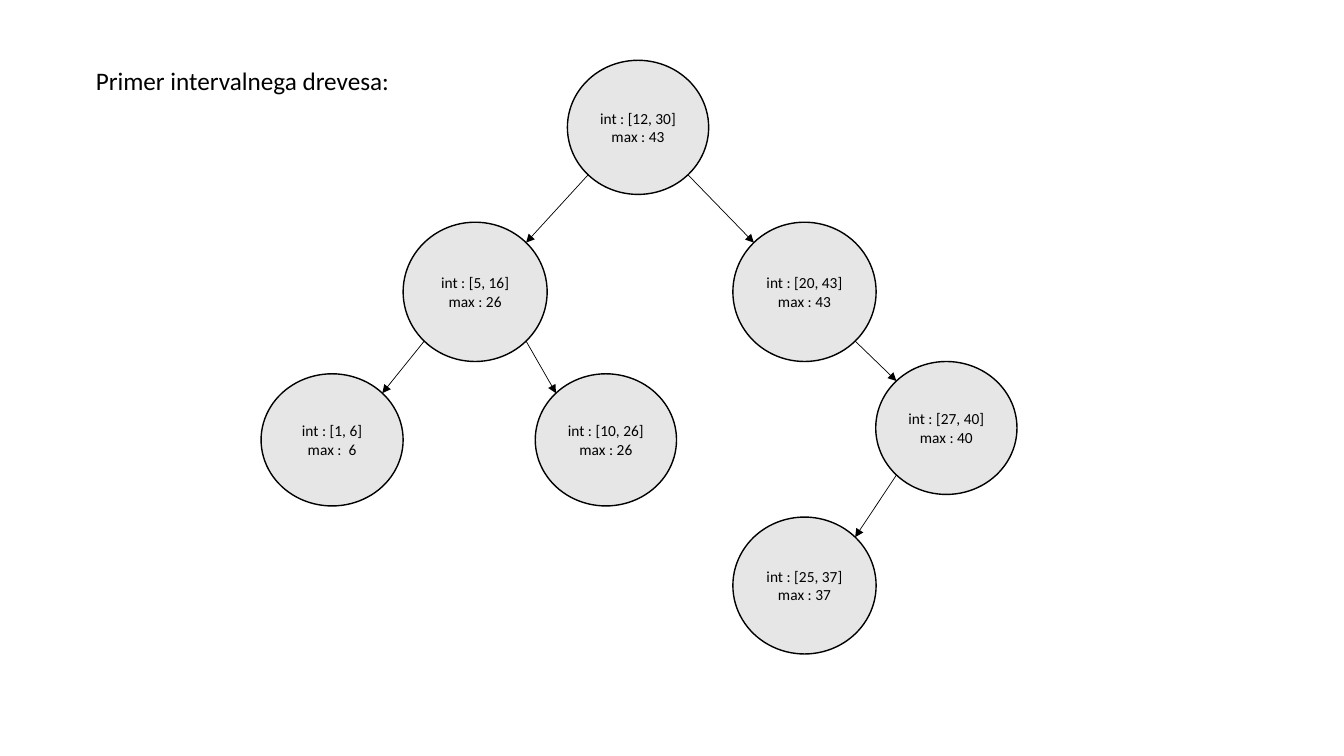
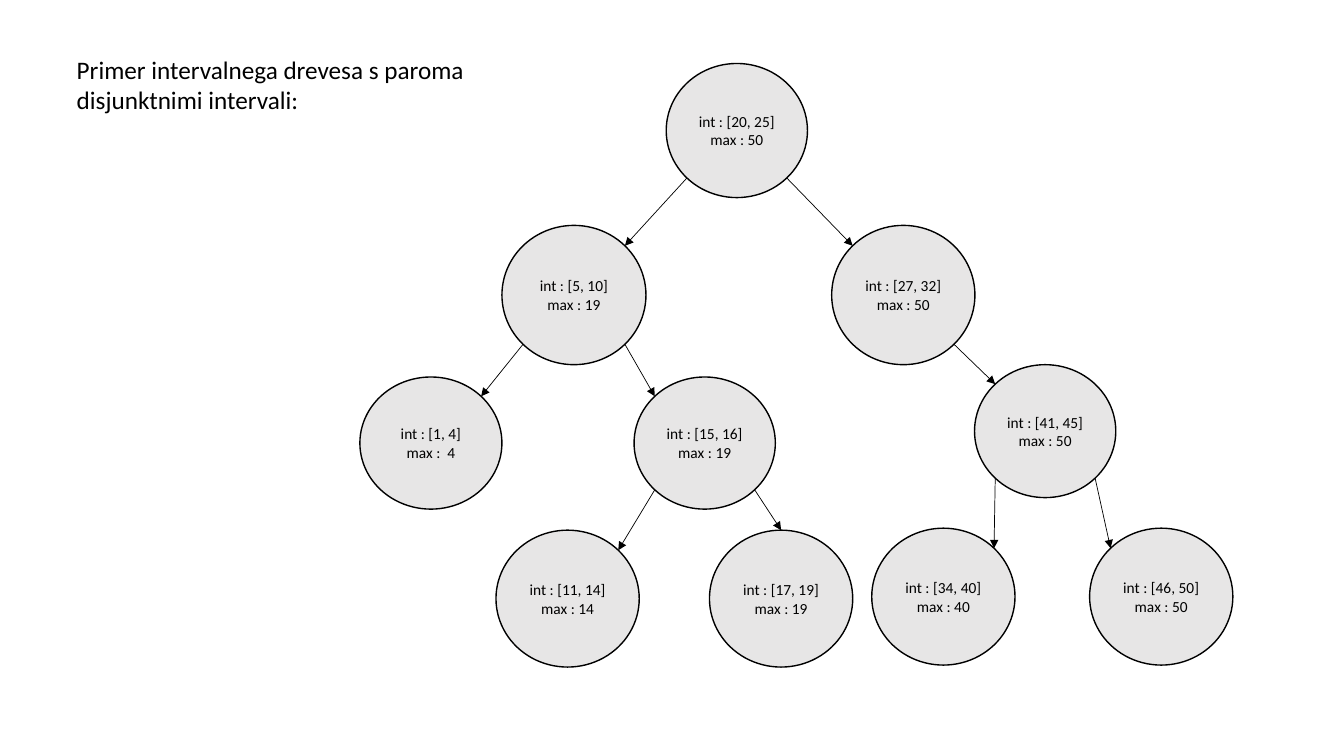
from math import sqrt

from pptx import Presentation
from pptx.dml.color import RGBColor as Rgb
from pptx.enum.shapes import MSO_CONNECTOR as Link, MSO_SHAPE as Kind
from pptx.enum.text import MSO_ANCHOR as Anchor, MSO_AUTO_SIZE as Fit, PP_ALIGN as Align
from pptx.oxml.ns import qn
from pptx.util import Cm, Pt

HUES = {"ink": "000000", "node": "E7E6E6"}
FACE = "Calibri"
HEAD = {
    "frame": {"word_wrap": True, "auto_size": Fit.SHAPE_TO_FIT_TEXT,
              "vertical_anchor": Anchor.TOP},
    "para": {"alignment": Align.LEFT},
    "font": {"name": FACE, "size": Pt(18), "bold": False},
}
BODY = {
    "frame": {"word_wrap": True, "vertical_anchor": Anchor.MIDDLE,
              "margin_left": 0, "margin_right": 0},
    "para": {"alignment": Align.CENTER},
    "font": {"name": FACE, "size": Pt(11), "bold": False},
}

CORE = {
    "": (7.72, 0, 3.56, 3.38),
    "l": (3.58, 4.08, 3.63, 3.51),
    "r": (11.89, 4.08, 3.61, 3.51),
    "ll": (0, 7.9, 3.58, 3.33),
    "lr": (6.91, 7.9, 3.56, 3.33),
    "rr": (15.49, 7.59, 3.56, 3.35),
}
LEAF = (3.61, 3.45)
SLIDES = [
    {
        "title": ("Primer intervalnega drevesa:", (2.16, 1.52, 8.53, 1.02)),
        "at": (6.58, 1.52),
        "slots": {**CORE, "rrl": (11.89, 11.51, *LEAF)},
        "data": {"": (12, 30, 43), "l": (5, 16, 26), "r": (20, 43, 43),
                 "ll": (1, 6, 6), "lr": (10, 26, 26), "rr": (27, 40, 40),
                 "rrl": (25, 37, 37)},
        "tops": (),
    },
    {
        "title": ("Primer intervalnega drevesa s paroma disjunktnimi intervali:",
                  (1.68, 1.24, 10.67, 1.8)),
        "at": (9.07, 1.6),
        "slots": {**CORE, "lrl": (3.43, 11.76, *LEAF), "lrr": (8.81, 11.76, *LEAF),
                  "rrl": (12.9, 11.71, *LEAF), "rrr": (18.39, 11.71, *LEAF)},
        "data": {"": (20, 25, 50), "l": (5, 10, 19), "r": (27, 32, 50),
                 "ll": (1, 4, 4), "lr": (15, 16, 19), "rr": (41, 45, 50),
                 "lrl": (11, 14, 14), "lrr": (17, 19, 19),
                 "rrl": (34, 40, 40), "rrr": (46, 50, 50)},
        "tops": ("lrr",),
    },
]


def tint(hue):
    """Return the named colour."""
    return Rgb.from_string(HUES[hue])


def apply(part, style):
    """Set every attribute listed in a style."""
    for name, value in style.items():
        setattr(part, name, value)


def write(shape, lines, look):
    """Fill a shape with one paragraph per line."""
    frame = shape.text_frame
    frame.text = "\n".join(lines)
    apply(frame, look["frame"])
    for para in frame.paragraphs:
        apply(para, look["para"])
        for run in para.runs:
            apply(run.font, look["font"])
            run.font.color.rgb = tint("ink")


def title(slide, text, box):
    """Place and format the slide title."""
    shape = slide.shapes.title
    apply(shape, dict(zip(("left", "top", "width", "height"), map(Cm, box))))
    write(shape, [text], HEAD)


def node(slide, box, low, high, peak):
    """Draw one interval node."""
    shape = slide.shapes.add_shape(Kind.OVAL, *map(Cm, box))
    shape.shadow.inherit = False
    shape.fill.solid()
    shape.fill.fore_color.rgb = tint("node")
    shape.line.color.rgb = tint("ink")
    shape.line.width = Pt(1)
    write(shape, [f"int : [{low}, {high}]", f"max : {peak:>2}"], BODY)
    return shape


def rim(shape, dx, dy):
    """Return the diagonal point of an oval on the given side."""
    return (round(shape.left + shape.width / 2 * (1 + dx / sqrt(2))),
            round(shape.top + shape.height / 2 * (1 + dy / sqrt(2))))


def arrow(slide, start, end, side, top):
    """Link a parent to its child with an arrow."""
    line = slide.shapes.add_connector(
        Link.STRAIGHT, *rim(start, side, 1), *rim(end, -side, -1))
    if top:
        line.end_connect(end, 0)
    line.line.color.rgb = tint("ink")
    line.line.width = Pt(0.5)
    props = line.element.spPr
    tip = props.find(qn("a:ln")).makeelement(qn("a:tailEnd"), {"type": "triangle"})
    props.find(qn("a:ln")).append(tip)
    props.append(props.makeelement(qn("a:effectLst"), {}))


def tree(slide, at, slots, data, tops):
    """Draw a tree whose keys spell the left and right turns from the root."""
    left, top = at
    nodes = {}
    for key, (x, y, w, h) in slots.items():
        nodes[key] = node(slide, (left + x, top + y, w, h), *data[key])
    for key in filter(None, nodes):
        side = 1 if key.endswith("r") else -1
        arrow(slide, nodes[key[:-1]], nodes[key], side, key in tops)


def main():
    """Build and save the deck."""
    deck = Presentation()
    deck.slide_width, deck.slide_height = Cm(33.87), Cm(19.05)
    for page in SLIDES:
        slide = deck.slides.add_slide(deck.slide_layouts[5])
        title(slide, *page["title"])
        tree(slide, page["at"], page["slots"], page["data"], page["tops"])
    deck.save("out.pptx")


if __name__ == "__main__":
    main()
